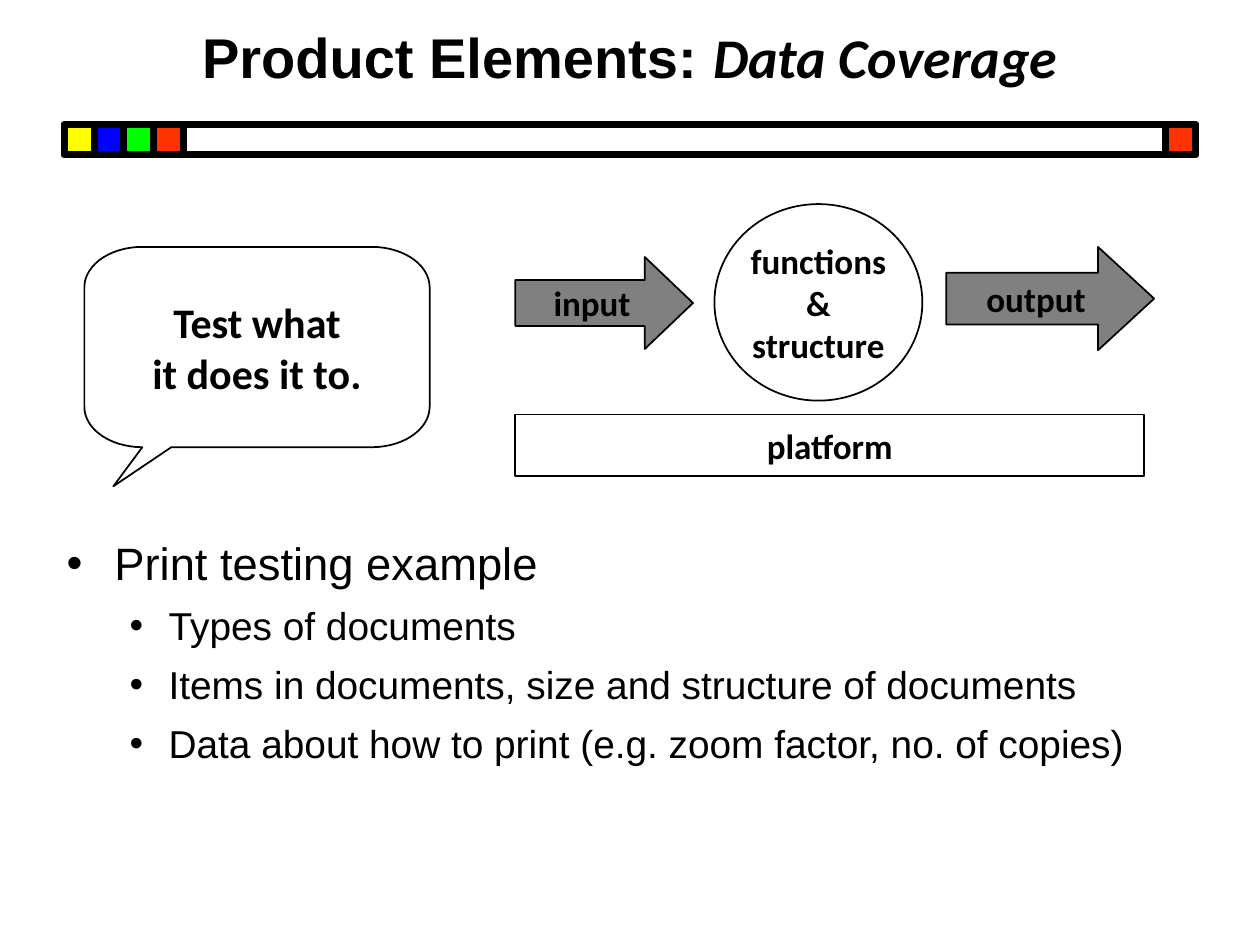
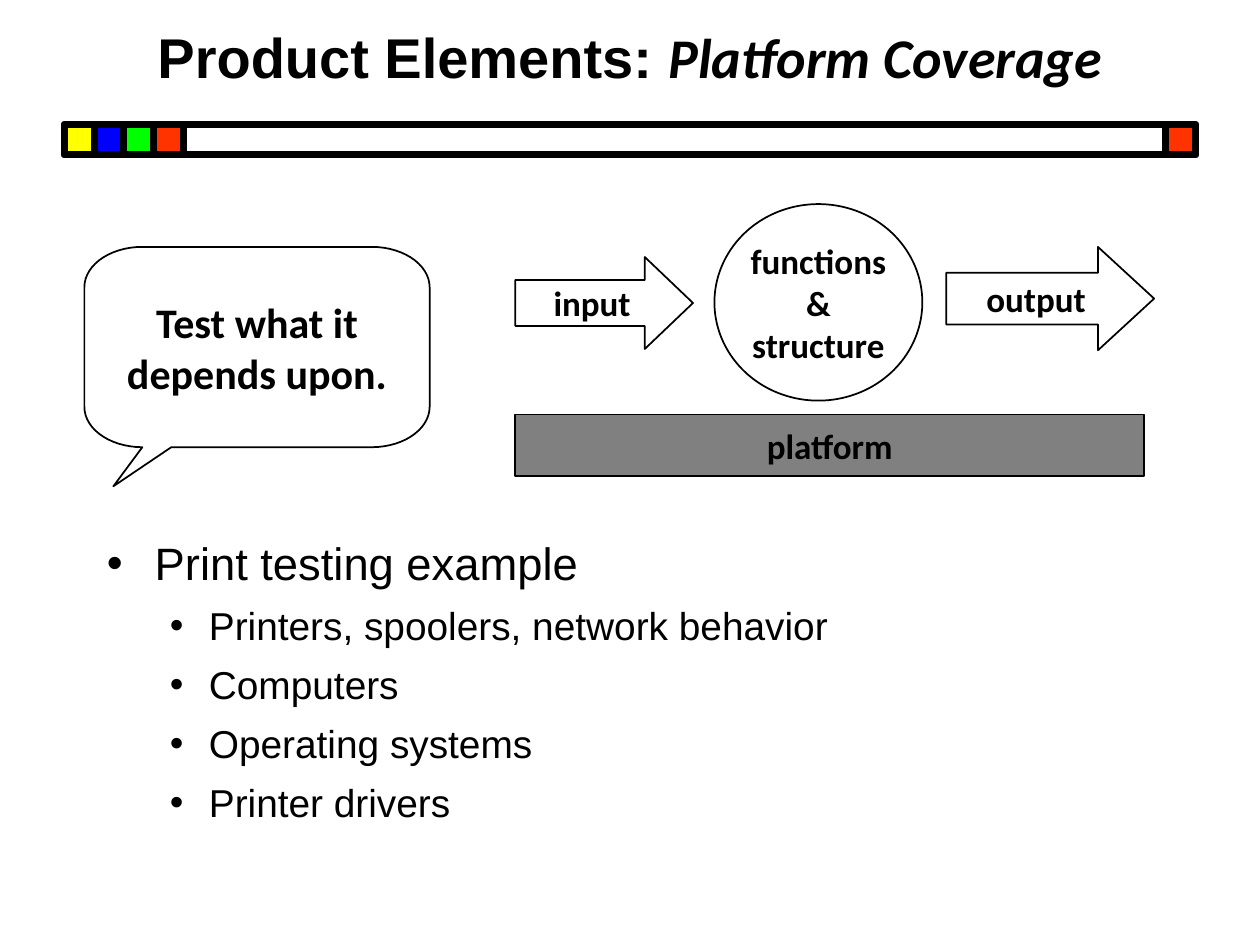
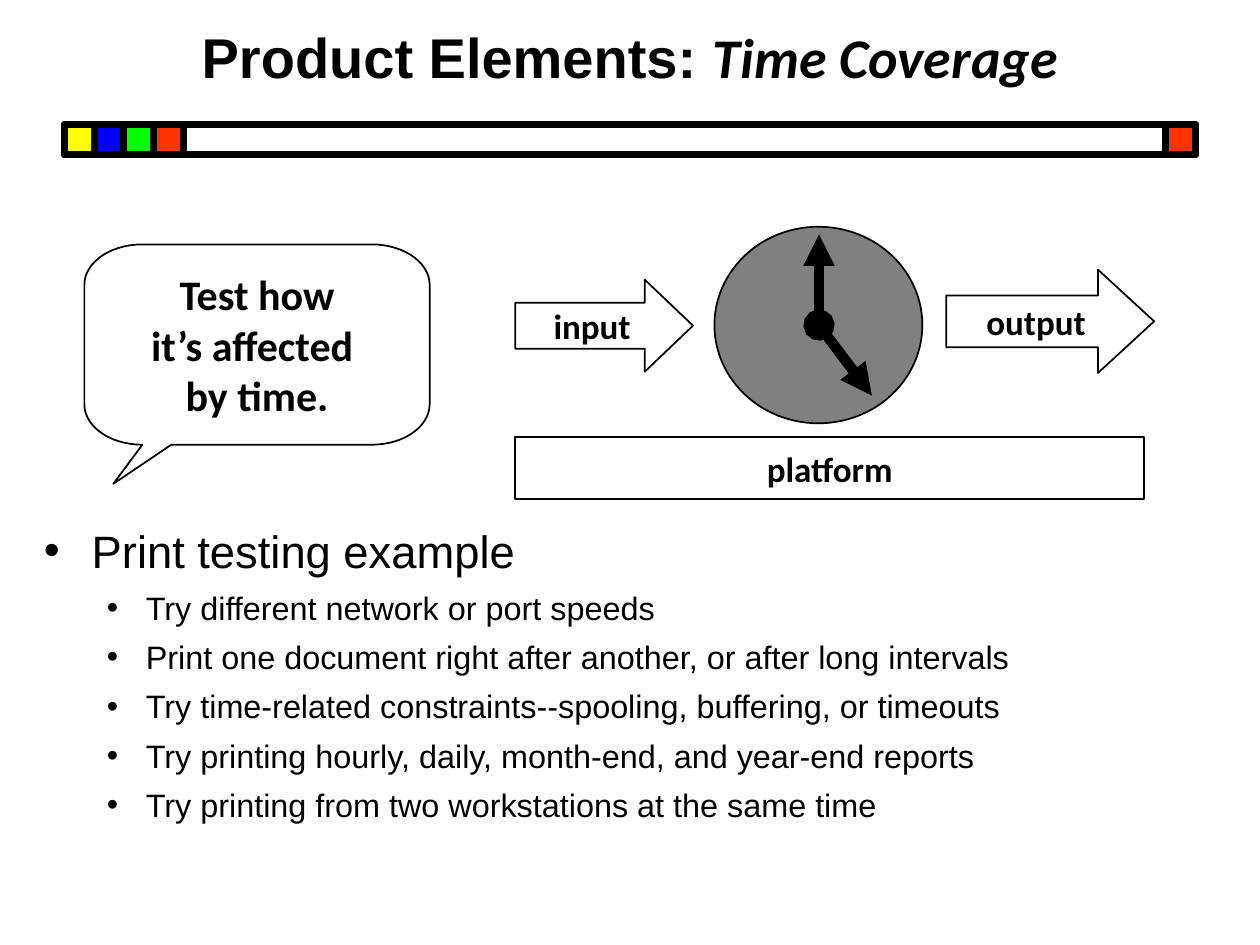
from math import cos, radians, sin

from lxml.etree import SubElement
from pptx import Presentation
from pptx.dml.color import RGBColor
from pptx.enum.shapes import MSO_CONNECTOR, MSO_SHAPE
from pptx.enum.text import MSO_ANCHOR, MSO_AUTO_SIZE, PP_ALIGN
from pptx.oxml.ns import qn
from pptx.util import Inches, Pt

BLACK = RGBColor(0x00, 0x00, 0x00)
WHITE = RGBColor(0xFF, 0xFF, 0xFF)
GRAY = RGBColor(0x80, 0x80, 0x80)
YELLOW = RGBColor(0xFF, 0xFF, 0x00)
BLUE = RGBColor(0x00, 0x00, 0xFF)
GREEN = RGBColor(0x00, 0xFF, 0x00)
RED = RGBColor(0xFF, 0x33, 0x00)

BAR_LEFT, BAR_TOP, BAR_WIDTH, SQUARE = 0.51, 0.99, 8.98, 0.24
SQUARE_STEP = 0.237
SQUARES = [(BAR_LEFT + index * SQUARE_STEP, color)
           for index, color in enumerate([YELLOW, BLUE, GREEN, RED])]
SQUARES.append((BAR_LEFT + BAR_WIDTH - SQUARE, RED))

BUBBLE_LEFT, BUBBLE_WIDTH, BUBBLE_HEIGHT = 0.67, 2.74, 1.59
CORNER_X, CORNER_Y, TAIL_DROP = 0.46, 0.32, 0.31

DIAGRAM = [
    ("process", MSO_SHAPE.OVAL, 5.67, 1.62, 1.65, 1.56, "functions\n&\nstructure"),
    ("input", MSO_SHAPE.RIGHT_ARROW, 4.09, 2.04, 1.41, 0.73, "input"),
    ("output", MSO_SHAPE.RIGHT_ARROW, 7.51, 1.96, 1.65, 0.82, "output"),
    ("platform", MSO_SHAPE.RECTANGLE, 4.09, 3.29, 4.99, 0.49, "platform"),
]
ARROW_HEADS = {"input": 0.524, "output": 0.543}

SLIDES = [
    {
        "topic": "Data Coverage", "title_top": 0.13,
        "bubble": "Test what\nit does it to.", "bubble_top": 1.96,
        "diagram_shift": 0, "highlighted": ["input", "output"], "clock": False,
        "body": (0.43, 4.2, 9.07, 2.33), "item_size": 22.2, "item_gap": 7,
        "items": [
            "Types of documents",
            "Items in documents, size and structure of documents",
            "Data about how to print (e.g. zoom factor, no. of copies)",
        ],
    },
    {
        "topic": "Platform Coverage", "title_top": 0.15,
        "bubble": "Test what it\ndepends upon.", "bubble_top": 1.96,
        "diagram_shift": 0, "highlighted": ["platform"], "clock": False,
        "body": (0.75, 4.2, 8.5, 2.33), "item_size": 22.2, "item_gap": 7,
        "items": [
            "Printers, spoolers, network behavior",
            "Computers",
            "Operating systems",
            "Printer drivers",
        ],
    },
    {
        "topic": "Time Coverage", "title_top": 0.15,
        "bubble": "Test how\vit’s affected \nby time.", "bubble_top": 1.94,
        "diagram_shift": 0.18, "highlighted": ["process"], "clock": True,
        "body": (0.25, 4.1, 9.5, 2.4), "item_size": 18.5, "item_gap": 6,
        "items": [
            "Try different network or port speeds",
            "Print one document right after another, or after long intervals",
            "Try time-related constraints--spooling, buffering, or timeouts",
            "Try printing hourly, daily, month-end, and year-end reports",
            "Try printing from two workstations at the same time",
        ],
    },
]


def style_shape(shape, fill, line_width):
    shape.shadow.inherit = False
    if fill is None:
        shape.fill.background()
    else:
        shape.fill.solid()
        shape.fill.fore_color.rgb = fill
    shape.line.color.rgb = BLACK
    shape.line.width = Pt(line_width)


def write_label(shape, text, size):
    text_frame = shape.text_frame
    text_frame.text = text
    text_frame.word_wrap = False
    text_frame.vertical_anchor = MSO_ANCHOR.MIDDLE
    for paragraph in text_frame.paragraphs:
        paragraph.alignment = PP_ALIGN.CENTER
        for run in paragraph.runs:
            run.font.name = "Calibri"
            run.font.size = Pt(size)
            run.font.bold = True
            run.font.color.rgb = BLACK


presentation = Presentation()
presentation.slide_width = Inches(10)
presentation.slide_height = Inches(7.5)

for content in SLIDES:
    slide = presentation.slides.add_slide(presentation.slide_layouts[5])
    shapes = slide.shapes

    bar = shapes.add_shape(MSO_SHAPE.RECTANGLE, Inches(BAR_LEFT), Inches(BAR_TOP),
                           Inches(BAR_WIDTH), Inches(SQUARE))
    style_shape(bar, None, 4)
    for left, color in SQUARES:
        square = shapes.add_shape(MSO_SHAPE.RECTANGLE, Inches(left), Inches(BAR_TOP),
                                  Inches(SQUARE), Inches(SQUARE))
        style_shape(square, color, 4)

    title = shapes.title
    title.left, title.top = Inches(0), Inches(content["title_top"])
    title.width, title.height = Inches(10), Inches(0.76 - content["title_top"])
    title.text_frame.auto_size = MSO_AUTO_SIZE.NONE
    title.text_frame.vertical_anchor = MSO_ANCHOR.BOTTOM
    paragraph = title.text_frame.paragraphs[0]
    paragraph.text = "Product Elements: "
    paragraph.alignment = PP_ALIGN.CENTER
    topic_run = paragraph.add_run()
    topic_run.text = content["topic"]
    for run, font_name in zip(paragraph.runs, ["Arial", "Calibri"]):
        run.font.name = font_name
        run.font.size = Pt(32)
        run.font.bold = True
        run.font.color.rgb = BLACK
    topic_run.font.italic = True

    bubble_top = content["bubble_top"]
    bubble_right = BUBBLE_LEFT + BUBBLE_WIDTH
    bubble_bottom = bubble_top + BUBBLE_HEIGHT
    near_left, near_right = BUBBLE_LEFT + CORNER_X, bubble_right - CORNER_X
    near_top, near_bottom = bubble_top + CORNER_Y, bubble_bottom - CORNER_Y
    corners = [(near_left, near_bottom, 90), (near_left, near_top, 180),
               (near_right, near_top, 270), (near_right, near_bottom, 0)]
    outline = [(center_x + CORNER_X * cos(radians(start + turn)),
                center_y + CORNER_Y * sin(radians(start + turn)))
               for center_x, center_y, start in corners
               for turn in range(0, 91, 6)]
    outline += [(1.36, bubble_bottom), (0.9, bubble_bottom + TAIL_DROP)]
    points = [(Inches(x), Inches(y)) for x, y in outline]
    builder = shapes.build_freeform(*points[0])
    builder.add_line_segments(points[1:], close=True)
    bubble = builder.convert_to_shape()
    style_shape(bubble, WHITE, 1)
    write_label(bubble, content["bubble"], 24)
    bubble.text_frame.margin_bottom = Inches(0.05 + TAIL_DROP)

    for name, preset, left, top, width, height, label in DIAGRAM:
        shape = shapes.add_shape(preset, Inches(left), Inches(top + content["diagram_shift"]),
                                 Inches(width), Inches(height))
        style_shape(shape, GRAY if name in content["highlighted"] else WHITE, 1)
        if name in ARROW_HEADS:
            shape.adjustments[1] = ARROW_HEADS[name]
        if not (content["clock"] and name == "process"):
            write_label(shape, label, 20)

    if content["clock"]:
        for end_x, end_y, start_head in [(6.92, 3.14, "oval"), (6.5, 1.86, "none")]:
            hand = shapes.add_connector(MSO_CONNECTOR.STRAIGHT, Inches(6.5), Inches(2.58),
                                        Inches(end_x), Inches(end_y))
            hand.line.color.rgb = BLACK
            hand.line.width = Pt(6)
            line = hand.line._get_or_add_ln()
            SubElement(line, qn("a:headEnd"), type=start_head)
            SubElement(line, qn("a:tailEnd"), type="triangle")
            SubElement(hand._element.spPr, qn("a:effectLst"))

    body = shapes.add_textbox(*[Inches(length) for length in content["body"]])
    text_frame = body.text_frame
    text_frame.word_wrap = True
    text_frame.text = "\n".join(["Print testing example"] + content["items"])
    for index, paragraph in enumerate(text_frame.paragraphs):
        is_item = index > 0
        indent, hanging = (0.81, 0.31) if is_item else (0.38, 0.38)
        properties = paragraph._p.get_or_add_pPr()
        properties.set("marL", str(Inches(indent)))
        properties.set("indent", str(-Inches(hanging)))
        bullet_color = SubElement(properties, qn("a:buClr"))
        SubElement(bullet_color, qn("a:srgbClr"), val=str(BLACK))
        SubElement(properties, qn("a:buFont"), typeface="Arial")
        SubElement(properties, qn("a:buChar"), char="•")
        if is_item:
            paragraph.level = 1
            paragraph.space_before = Pt(content["item_gap"])
        font = paragraph.runs[0].font
        font.name = "Arial"
        font.size = Pt(content["item_size"] if is_item else 25.9)
        font.color.rgb = BLACK

presentation.save("out.pptx")
